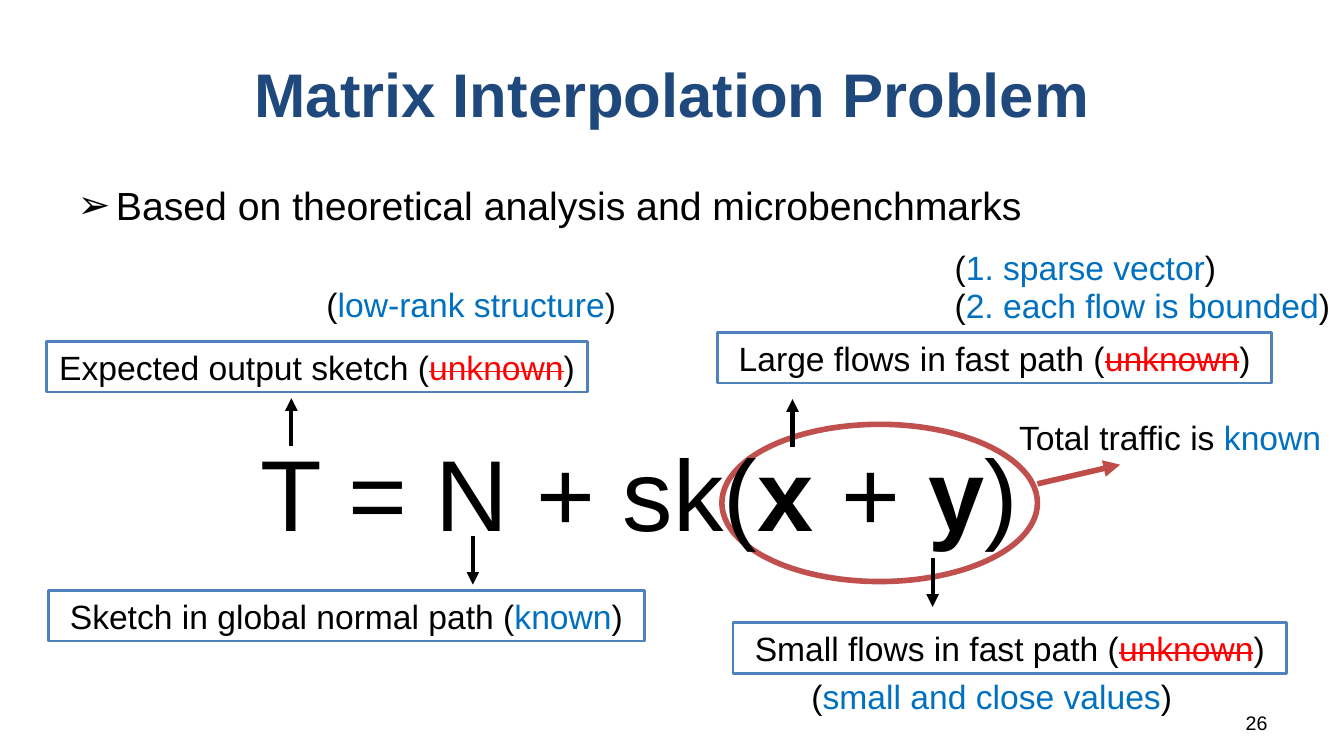
"""Build the Matrix Interpolation Problem slide: an equation with annotated terms."""
from dataclasses import dataclass

from lxml.etree import SubElement
from pptx import Presentation
from pptx.dml.color import RGBColor
from pptx.enum.shapes import MSO_CONNECTOR, MSO_SHAPE
from pptx.enum.text import MSO_ANCHOR as Anchor, MSO_AUTO_SIZE as AutoSize, PP_ALIGN as Align
from pptx.oxml.ns import qn
from pptx.util import Inches, Pt

BLACK = RGBColor(0x00, 0x00, 0x00)
WHITE = RGBColor(0xFF, 0xFF, 0xFF)
NAVY = RGBColor(0x1F, 0x49, 0x7D)
BLUE = RGBColor(0x4F, 0x81, 0xBD)
KNOWN_BLUE = RGBColor(0x00, 0x70, 0xC0)
UNKNOWN_RED = RGBColor(0xFF, 0x00, 0x00)
OVAL_RED = RGBColor(0xC0, 0x50, 0x4D)
ARROW_RED = RGBColor(0xBF, 0x4C, 0x48)

FONT = "Arial"
LABEL_SIZE = 24
LABEL_HEIGHT = 0.5


@dataclass(frozen=True)
class Run:
    text: str
    color: RGBColor = BLACK
    bold: bool = False
    strike: bool = False


@dataclass(frozen=True)
class Label:
    left: float
    top: float
    width: float
    runs: tuple[Run, ...]


@dataclass(frozen=True)
class Arrow:
    start: tuple[float, float]
    end: tuple[float, float]
    color: RGBColor = BLACK
    width: float = 3


def known(before: str, text: str, after: str = ")") -> tuple[Run, ...]:
    return Run(before), Run(text, KNOWN_BLUE), Run(after)


def unknown(before: str) -> tuple[Run, ...]:
    return Run(before), Run("unknown", UNKNOWN_RED, strike=True), Run(")")


BOXES = (
    Label(0.46, 3.39, 5.37, unknown("Expected output sketch (")),
    Label(0.48, 5.86, 5.91, known("Sketch in global normal path (", "known")),
    Label(7.12, 3.3, 5.49, unknown("Large flows in fast path (")),
    Label(7.27, 6.18, 5.49, unknown("Small flows in fast path (")),
)
NOTES = (
    Label(3.14, 2.77, 3.1, known("(", "low-rank structure")),
    Label(9.37, 2.4, 2.82, known("(", "1. sparse vector")),
    Label(9.37, 2.78, 3.97, known("(", "2. each flow is bounded")),
    Label(7.95, 6.66, 3.82, known("(", "small and close values")),
    Label(10.01, 4.09, 3.23, known("Total traffic is ", "known", "")),
)
ARROWS = (
    Arrow((2.89, 4.42), (2.89, 3.95)),
    Arrow((4.69, 5.32), (4.69, 5.8)),
    Arrow((7.86, 4.43), (7.86, 3.96)),
    Arrow((9.25, 5.54), (9.25, 6.02)),
    Arrow((10.29, 4.8), (11.11, 4.61), ARROW_RED, 4),
)
EQUATION = (Run("T = N + sk("), Run("x", bold=True), Run(" + "), Run("y", bold=True), Run(")"))


def write(shape, runs: tuple[Run, ...], size: float, align=Align.LEFT, **frame_format):
    """Fill the shape's only paragraph with formatted runs and return it."""
    frame = shape.text_frame
    values = {"word_wrap": True, "auto_size": AutoSize.NONE, "vertical_anchor": Anchor.TOP}
    for name, value in (values | frame_format).items():
        setattr(frame, name, value)
    paragraph = frame.paragraphs[0]
    paragraph.alignment = align
    for item in filter(lambda run: run.text, runs):
        run = paragraph.add_run()
        run.text = item.text
        for name, value in {"name": FONT, "size": Pt(size), "bold": item.bold}.items():
            setattr(run.font, name, value)
        run.font.color.rgb = item.color
        if item.strike:
            run.font._element.set("strike", "sngStrike")
    return paragraph


def space_before(paragraph, percent: int) -> None:
    spacing = SubElement(paragraph._p.get_or_add_pPr(), qn("a:spcBef"))
    SubElement(spacing, qn("a:spcPct"), val=str(percent * 1000))


def place(shape, left: float, top: float, width: float, height: float) -> None:
    for name, value in {"left": left, "top": top, "width": width, "height": height}.items():
        setattr(shape, name, Inches(value))


def add_outlined(slide, kind, bounds: tuple[float, ...], color: RGBColor, width: float):
    shape = slide.shapes.add_shape(kind, *map(Inches, bounds))
    shape.shadow.inherit = False
    shape.fill.solid()
    shape.fill.fore_color.rgb = WHITE
    shape.line.color.rgb = color
    shape.line.width = Pt(width)
    return shape


def add_text(slide, *bounds: float):
    return slide.shapes.add_textbox(*map(Inches, bounds))


def add_box(slide, label: Label) -> None:
    bounds = (label.left, label.top, label.width, LABEL_HEIGHT)
    box = add_outlined(slide, MSO_SHAPE.RECTANGLE, bounds, BLUE, 2)
    write(box, label.runs, LABEL_SIZE, Align.CENTER, auto_size=AutoSize.SHAPE_TO_FIT_TEXT)


def add_note(slide, label: Label) -> None:
    note = add_text(slide, label.left, label.top, label.width, LABEL_HEIGHT)
    write(note, label.runs, LABEL_SIZE, word_wrap=False, auto_size=AutoSize.SHAPE_TO_FIT_TEXT)


def add_arrow(slide, arrow: Arrow) -> None:
    ends = map(Inches, arrow.start + arrow.end)
    connector = slide.shapes.add_connector(MSO_CONNECTOR.STRAIGHT, *ends)
    connector.line.color.rgb = arrow.color
    connector.line.width = Pt(arrow.width)
    SubElement(connector.line._get_or_add_ln(), qn("a:tailEnd"), type="triangle")
    SubElement(connector._element.spPr, qn("a:effectLst"))


def fill_placeholders(slide) -> None:
    title, body = slide.placeholders
    place(title, 0.67, 0.3, 12, 1.25)
    heading = (Run("Matrix Interpolation Problem", NAVY, bold=True),)
    write(title, heading, 44, Align.CENTER, vertical_anchor=Anchor.MIDDLE)

    place(body, 0.67, 1.75, 12, 1.1)
    bullet = write(body, (Run("Based on theoretical analysis and microbenchmarks"),), 28)
    space_before(bullet, 50)
    properties = bullet._p.get_or_add_pPr()
    for name, value in {"marL": Inches(0.38), "indent": Inches(-0.38)}.items():
        properties.set(name, str(value))
    SubElement(properties, qn("a:buFont"), typeface=FONT)
    SubElement(properties, qn("a:buChar"), char="➢")


def main() -> None:
    presentation = Presentation()
    presentation.slide_width = Inches(13.33)
    presentation.slide_height = Inches(7.5)
    slide = presentation.slides.add_slide(presentation.slide_layouts[1])
    fill_placeholders(slide)
    add_outlined(slide, MSO_SHAPE.OVAL, (7.16, 4.21, 3.13, 1.56), OVAL_RED, 4)
    for box in BOXES:
        add_box(slide, box)
    for note in NOTES:
        add_note(slide, note)
    equation = add_text(slide, 2.49, 4.22, 8.31, 1.32)
    space_before(write(equation, EQUATION, 72), 50)
    for arrow in ARROWS:
        add_arrow(slide, arrow)
    write(add_text(slide, 9.56, 7, 3.11, 0.35), (Run("26"),), 14, Align.RIGHT)
    presentation.save("out.pptx")


if __name__ == "__main__":
    main()
